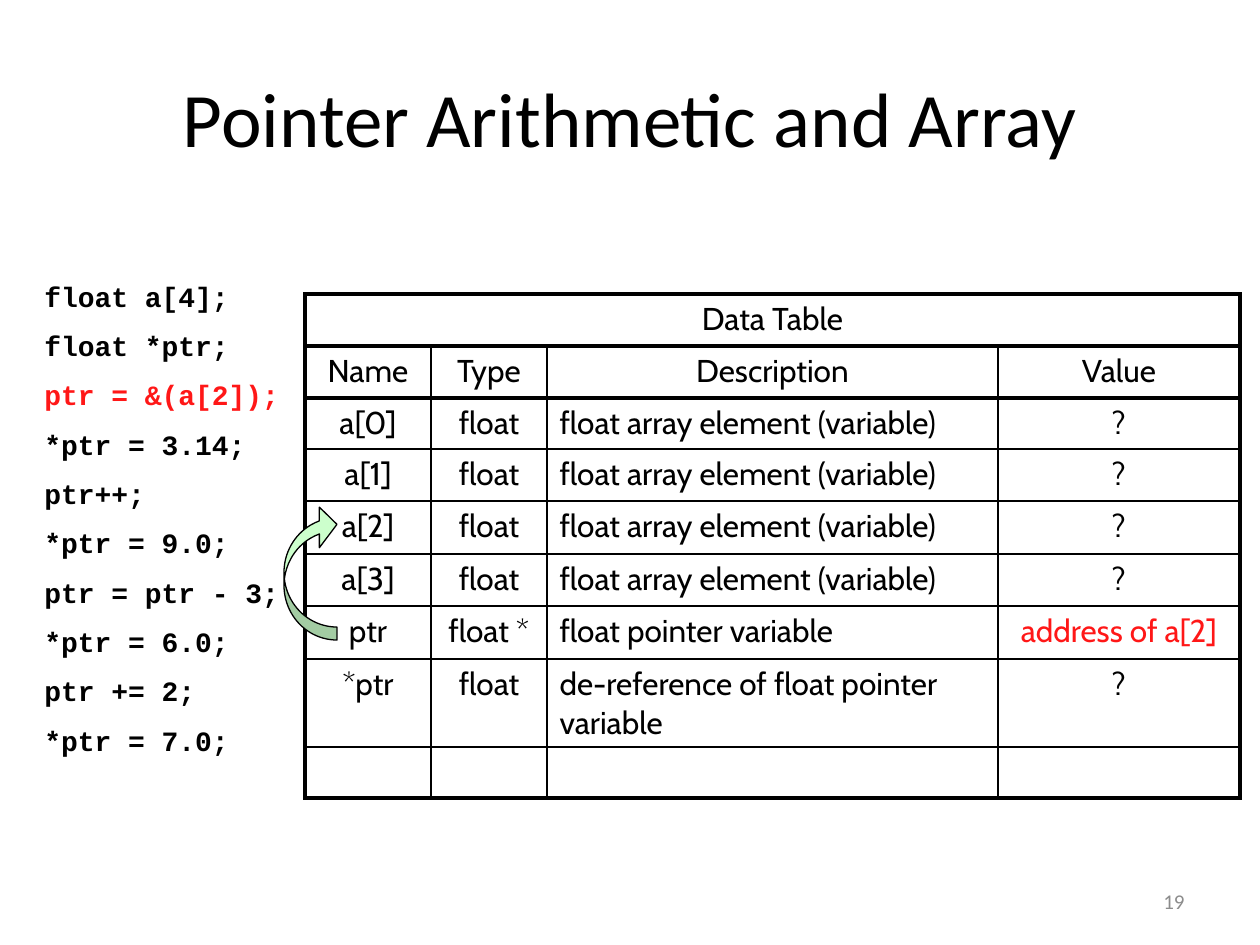
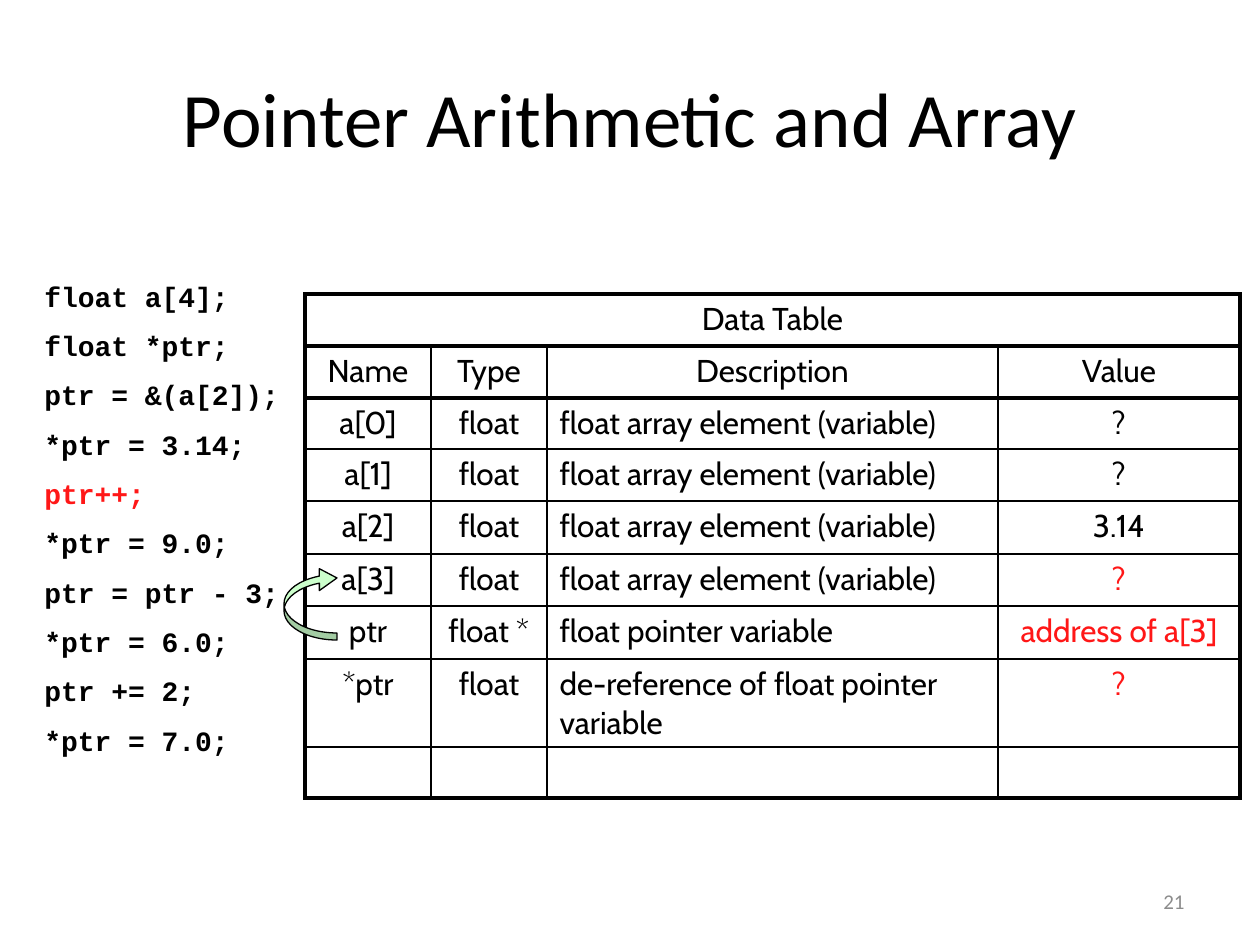
from lxml.etree import SubElement, fromstring
from pptx import Presentation
from pptx.dml.color import RGBColor
from pptx.enum.shapes import MSO_SHAPE
from pptx.enum.text import MSO_ANCHOR, PP_ALIGN
from pptx.oxml.ns import nsdecls, qn
from pptx.util import Pt

PX = 914400 / 126
COLORS = {"ink": "000000", "current": "FF1717", "number": "8C8C8C", "arrow": "CCFFCC"}
TITLE = "Pointer Arithmetic and Array"
CODE = [
    "float a[4];", "float *ptr;", "ptr = &(a[2]);", "*ptr = 3.14;", "ptr++;",
    "*ptr = 9.0;", "ptr = ptr - 3;", "*ptr = 6.0;", "ptr += 2;", "*ptr = 7.0;",
]
ELEMENT = "float array element (variable)"
VARIABLES = [
    ("a[0]", "float", ELEMENT),
    ("a[1]", "float", ELEMENT),
    ("a[2]", "float", ELEMENT),
    ("a[3]", "float", ELEMENT),
    ("ptr", "float *", "float pointer variable"),
    ("*ptr", "float", "de-reference of float pointer variable"),
]
COLUMN_WIDTHS = [126, 116, 451, 242]
ROW_HEIGHTS = [52, 52, 51, 52, 53, 52, 53, 88, 51]
FIRST_VARIABLE_ROW = 2
DESCRIPTION_COLUMN = 2
THIN, THICK = 1, 2.25
ARROW_BOTTOM = 640
STEPS = [
    {"number": "19", "statement": "ptr = &(a[2]);",
     "values": ["?", "?", "?", "?", "address of a[2]", "?"], "changed": {"ptr"},
     "arrow_top": 504, "arrow_shape": (0.246, 0.766, 0.333)},
    {"number": "21", "statement": "ptr++;",
     "values": ["?", "?", "3.14", "?", "address of a[3]", "?"], "changed": {"a[3]", "ptr", "*ptr"},
     "arrow_top": 567, "arrow_shape": (0.133, 0.413, 0.333)},
]


def box(*lengths):
    return [round(length * PX) for length in lengths]


def style(paragraph, font_name, size, color="ink", align=PP_ALIGN.LEFT, bold=False):
    paragraph.alignment = align
    for run in paragraph.runs:
        run.font.name = font_name
        run.font.size = Pt(size)
        run.font.bold = bold
        run.font.color.rgb = RGBColor.from_string(COLORS[color])


presentation = Presentation()
presentation.slide_width, presentation.slide_height = box(1260, 945)

for step in STEPS:
    slide = presentation.slides.add_slide(presentation.slide_layouts[5])

    title = slide.shapes.title
    title.left, title.top, title.width, title.height = box(63, 38, 1134, 158)
    title.text_frame.text = TITLE
    title.text_frame.vertical_anchor = MSO_ANCHOR.MIDDLE
    style(title.text_frame.paragraphs[0], "Calibri", 44, align=PP_ALIGN.CENTER)

    number = slide.shapes.add_textbox(*box(903, 876, 294, 50))
    number.text_frame.text = step["number"]
    number.text_frame.word_wrap = True
    number.text_frame.vertical_anchor = MSO_ANCHOR.MIDDLE
    style(number.text_frame.paragraphs[0], "Calibri", 12, "number", PP_ALIGN.RIGHT)

    code = slide.shapes.add_textbox(*box(32, 273, 1176, 501))
    code.text_frame.word_wrap = True
    code.text_frame.text = "\n".join(CODE)
    for index, paragraph in enumerate(code.text_frame.paragraphs):
        color = "current" if CODE[index] == step["statement"] else "ink"
        style(paragraph, "Courier New", 16, color, bold=True)
        if index:
            paragraph.space_before = Pt(9)

    rows = [("Data Table", "", "", ""), ("Name", "Type", "Description", "Value")]
    rows += [(*variable, value) for variable, value in zip(VARIABLES, step["values"])]
    rows.append(("", "", "", ""))
    last_row, last_column = len(rows) - 1, len(COLUMN_WIDTHS) - 1

    table = slide.shapes.add_table(
        len(rows), len(COLUMN_WIDTHS), *box(305, 294, sum(COLUMN_WIDTHS), sum(ROW_HEIGHTS))
    ).table
    table.first_row = table.horz_banding = False
    for column, width in zip(table.columns, COLUMN_WIDTHS):
        column.width = round(width * PX)
    for row, height in zip(table.rows, ROW_HEIGHTS):
        row.height = round(height * PX)
    table.cell(0, 0).merge(table.cell(0, last_column))

    for row_index, texts in enumerate(rows):
        for column_index, text in enumerate(texts):
            cell = table.cell(row_index, column_index)
            cell.fill.background()
            if text:
                is_description = column_index == DESCRIPTION_COLUMN and row_index >= FIRST_VARIABLE_ROW
                is_changed = column_index == last_column and texts[0] in step["changed"]
                cell.text_frame.text = text
                style(cell.text_frame.paragraphs[0], "Cabin", 18,
                      "current" if is_changed else "ink",
                      PP_ALIGN.LEFT if is_description else PP_ALIGN.CENTER)

            thick_edges = {
                "lnL": row_index == 0 or column_index == 0,
                "lnR": row_index == 0 or column_index == last_column,
                "lnT": row_index <= FIRST_VARIABLE_ROW,
                "lnB": row_index < FIRST_VARIABLE_ROW or row_index == last_row,
            }
            properties = cell._tc.get_or_add_tcPr()
            for position, (edge, is_thick) in enumerate(thick_edges.items()):
                line = fromstring(f'<a:{edge} {nsdecls("a")}/>')
                line.set("w", str(Pt(THICK if is_thick else THIN)))
                fill = SubElement(line, qn("a:solidFill"))
                SubElement(fill, qn("a:srgbClr")).set("val", COLORS["ink"])
                properties.insert(position, line)

    arrow = slide.shapes.add_shape(
        MSO_SHAPE.CURVED_LEFT_ARROW,
        *box(284, step["arrow_top"], 53, ARROW_BOTTOM - step["arrow_top"]),
    )
    arrow.shadow.inherit = False
    arrow.rotation = 180
    for index, value in enumerate(step["arrow_shape"]):
        arrow.adjustments[index] = value
    arrow.fill.solid()
    arrow.fill.fore_color.rgb = RGBColor.from_string(COLORS["arrow"])
    arrow.line.color.rgb = RGBColor.from_string(COLORS["ink"])
    arrow.line.width = Pt(0.75)

presentation.save("out.pptx")
